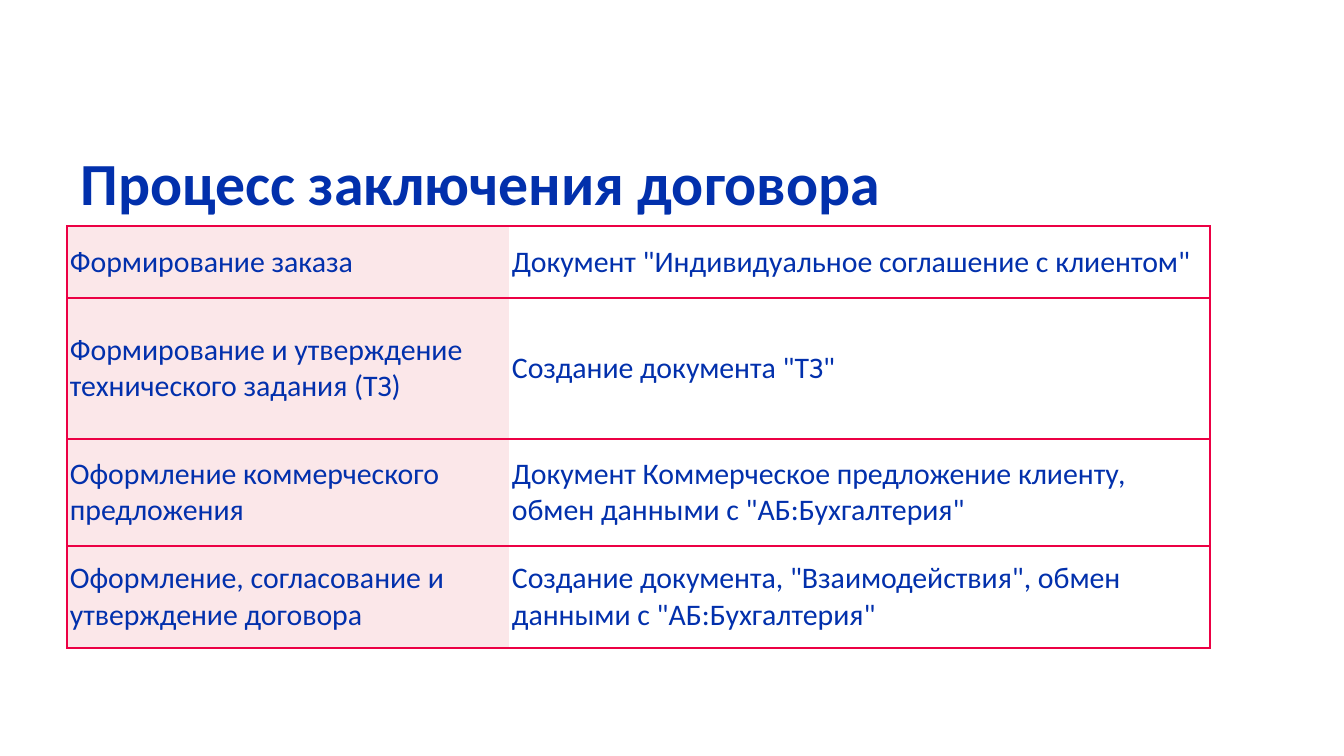
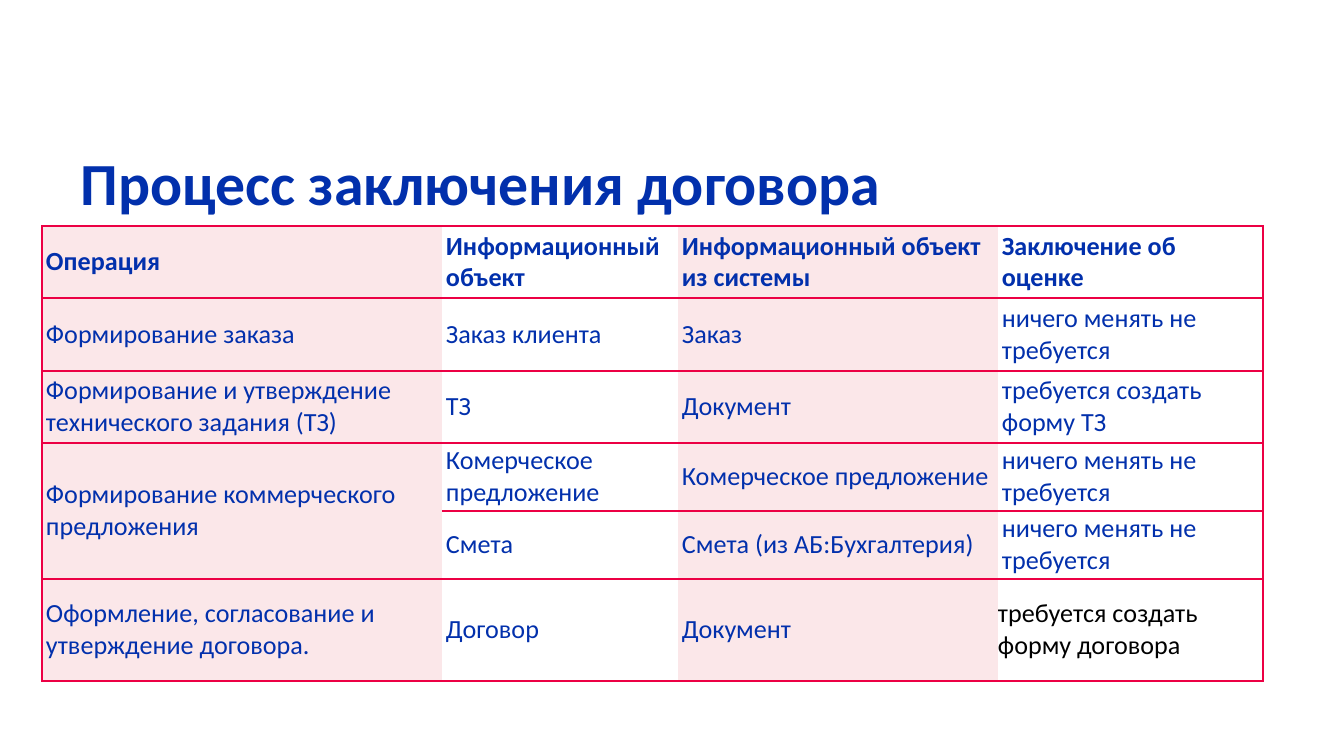
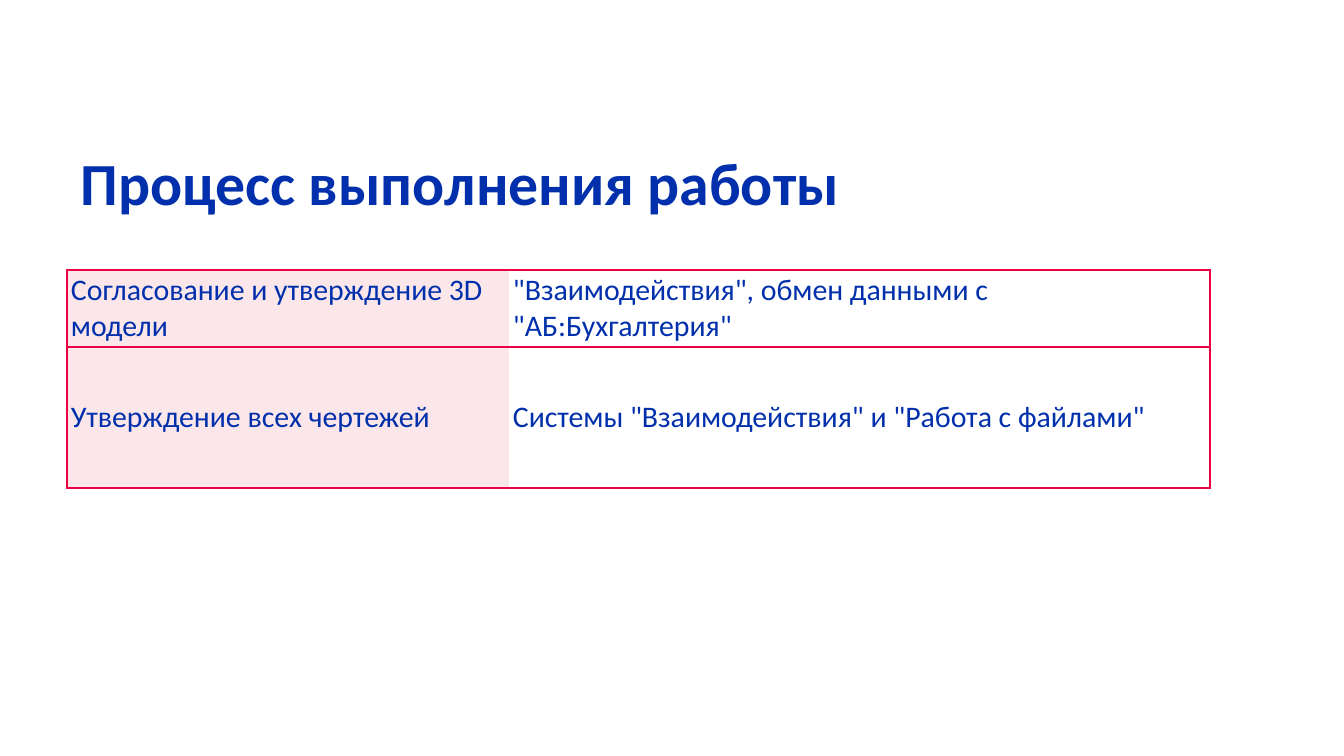
from dataclasses import dataclass

from lxml import etree
from pptx import Presentation
from pptx import util as u
from pptx.dml.color import RGBColor
from pptx.enum import text
from pptx.oxml import ns


@dataclass(frozen=True)
class Theme:
    font: str = "Calibri"
    ink: str = "0230AC"
    dark: str = "000000"
    line: str = "EC0044"
    pink: str = "FBE7E9"
    white: str = "FFFFFF"
    title: int = 32
    body: int = 16
    small: int = 14
    rule: int = 1


class Deck:
    """Builds titled slides with striped tables, measured in px."""

    def __init__(self, theme, wide, high):
        self.theme = theme
        self.show = Presentation()
        self.show.slide_width = self.px(wide)
        self.show.slide_height = self.px(high)
        self.slide = None

    @staticmethod
    def px(num):
        return u.Emu(round(num * 914400 / 134.4))

    @staticmethod
    def put(item, **form):
        for key, val in form.items():
            setattr(item, key, val)

    def font(self, run, size, ink, bold):
        self.put(run.font, name=self.theme.font, size=u.Pt(size), bold=bold)
        run.font.color.rgb = RGBColor.from_string(ink)

    def page(self, title):
        self.slide = self.show.slides.add_slide(self.show.slide_layouts[5])
        fill = self.slide.background.fill
        fill.solid()
        fill.fore_color.rgb = RGBColor.from_string(self.theme.white)
        head = self.slide.shapes.title
        self.put(head, left=self.px(67), top=self.px(136),
                 width=self.px(1210), height=self.px(91))
        frame = head.text_frame
        self.put(frame, text=title, word_wrap=True,
                 auto_size=text.MSO_AUTO_SIZE.NONE,
                 vertical_anchor=text.MSO_ANCHOR.MIDDLE)
        para = frame.paragraphs[0]
        para.alignment = text.PP_ALIGN.LEFT
        self.font(para.runs[0], self.theme.title, self.theme.ink, True)

    def edge(self, cell, sides):
        """Rules the named sides of a cell and clears the others."""
        props = cell._tc.get_or_add_tcPr()
        for side in "LRTB":
            line = etree.SubElement(props, ns.qn(f"a:ln{side}"),
                                    w=str(u.Pt(self.theme.rule)))
            if side in sides:
                fill = etree.SubElement(line, ns.qn("a:solidFill"))
                etree.SubElement(fill, ns.qn("a:srgbClr"), val=self.theme.line)
            else:
                etree.SubElement(line, ns.qn("a:noFill"))

    def pad(self, cell, side, end):
        self.put(cell, margin_left=self.px(side), margin_right=self.px(side),
                 margin_top=self.px(end), margin_bottom=self.px(end))

    def cell(self, cell, words, fill, sides, size, bold, pad):
        self.edge(cell, sides)
        cell.fill.solid()
        cell.fill.fore_color.rgb = RGBColor.from_string(fill)
        self.put(cell, text=words, vertical_anchor=text.MSO_ANCHOR.MIDDLE)
        self.pad(cell, *pad)
        run = cell.text_frame.paragraphs[0].runs[0]
        self.font(run, size, self.theme.ink, bold)

    def table(self, left, top, cols, rows, data, size, head=False, pad=(4, 2)):
        """Adds a table; None joins a cell to the one above."""
        box = (left, top, sum(cols), sum(rows))
        grid = self.slide.shapes.add_table(
            len(rows), len(cols), *map(self.px, box)).table
        self.put(grid, first_row=False, horz_banding=False)
        for col, wide in zip(grid.columns, cols):
            col.width = self.px(wide)
        for row, high in zip(grid.rows, rows):
            row.height = self.px(high)
        fills = self.theme.pink, self.theme.white
        for r, line in enumerate(data):
            for c, words in enumerate(line):
                if words is None:
                    grid.cell(r - 1, c).merge(grid.cell(r, c))
                    continue
                sides = "TB" + "L" * (c == 0) + "R" * (c == len(cols) - 1)
                self.cell(grid.cell(r, c), words, fills[c % 2], sides,
                          size, head and r == 0, pad)
        return grid


STEPS = [
    ("Формирование заказа", 'Документ "Индивидуальное соглашение с клиентом"'),
    ("Формирование и утверждение технического задания (ТЗ)",
     'Создание документа "ТЗ"'),
    ("Оформление коммерческого предложения",
     'Документ Коммерческое предложение клиенту, обмен данными с '
     '"АБ:Бухгалтерия"'),
    ("Оформление, согласование и утверждение договора",
     'Создание документа, "Взаимодействия", обмен данными с '
     '"АБ:Бухгалтерия"'),
]
KEEP = "ничего менять не требуется"
GAPS = [
    ("Операция", "Информационный объект", "Информационный объект из системы",
     "Заключение об оценке"),
    ("Формирование заказа", "Заказ клиента", "Заказ", KEEP),
    ("Формирование и утверждение технического задания (ТЗ)", "ТЗ", "Документ",
     "требуется создать форму ТЗ"),
    ("Формирование коммерческого предложения", "Комерческое предложение",
     "Комерческое предложение", KEEP),
    (None, "Смета", "Смета (из АБ:Бухгалтерия)", KEEP),
    ("Оформление, согласование и утверждение договора.", "Договор", "Документ",
     "требуется создать форму договора"),
]
WORK = [
    ("Согласование и утверждение 3D модели",
     '"Взаимодействия", обмен данными с "АБ:Бухгалтерия"'),
    ("Утверждение всех чертежей",
     'Системы "Взаимодействия" и "Работа с файлами"'),
]


def main():
    theme = Theme()
    deck = Deck(theme, 1344, 756)
    pair = (442, 701)

    deck.page("Процесс заключения договора")
    deck.table(67, 226, pair, (72, 141, 107, 102), STEPS, theme.body,
               pad=(3, 1))

    deck.page("Процесс заключения договора")
    grid = deck.table(42, 226, (400, 236, 320, 265),
                      (72, 73, 72, 68, 68, 102), GAPS, theme.small, head=True)
    last = grid.cell(5, 3)
    deck.pad(last, 0, 2)
    deck.font(last.text_frame.paragraphs[0].runs[0], theme.small, theme.dark,
              False)

    deck.page("Процесс выполнения работы")
    deck.table(67, 270, pair, (77, 141), WORK, theme.body)

    deck.show.save("out.pptx")


if __name__ == "__main__":
    main()
